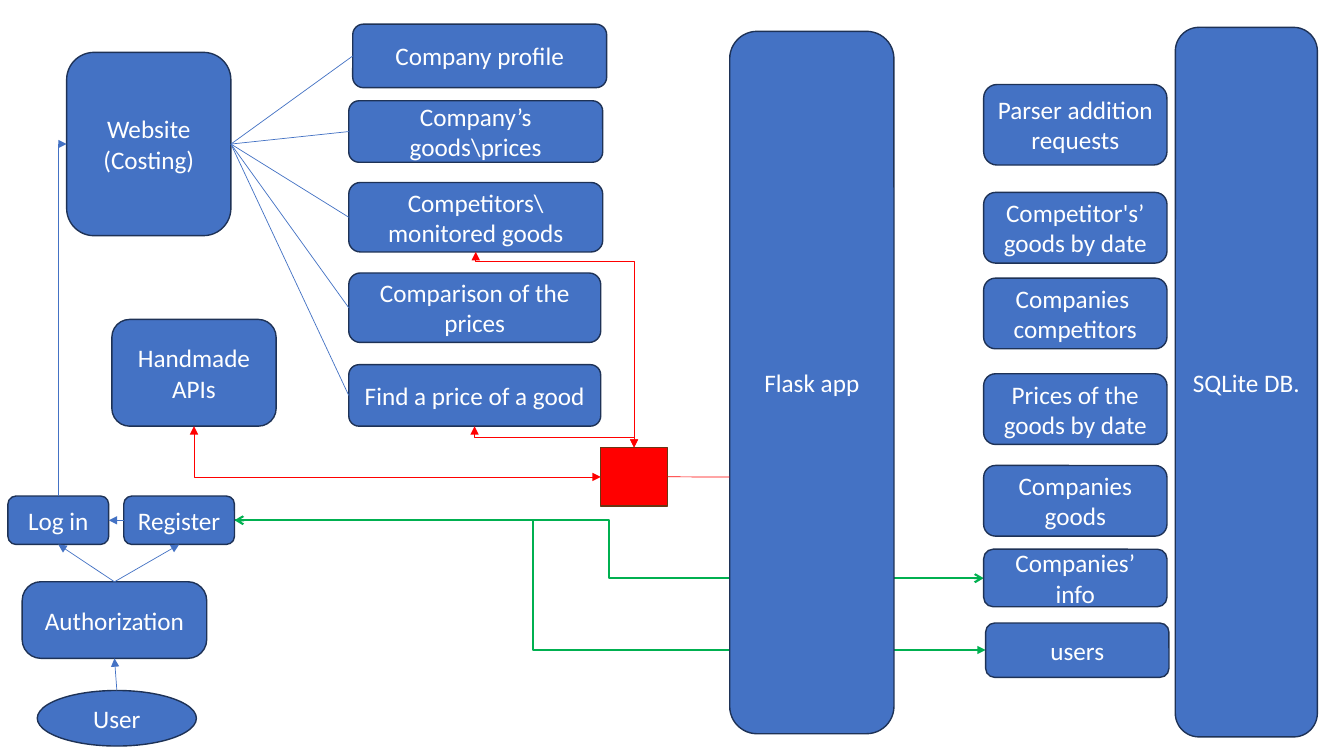
from pptx import Presentation
from pptx.dml.color import RGBColor
from pptx.enum.shapes import MSO_CONNECTOR, MSO_SHAPE
from pptx.enum.text import MSO_ANCHOR, PP_ALIGN
from pptx.oxml.ns import qn
from pptx.util import Cm, Pt
from lxml.etree import SubElement

BLUE, RED, GREEN = "4472C4", "FF0000", "00B050"
hue = RGBColor.from_string

deck = Presentation()
deck.slide_width, deck.slide_height = Cm(33.87), Cm(19.05)
slide = deck.slides.add_slide(deck.slide_layouts[6])
shapes = slide.shapes


def box(text, x, y, w, h, kind=MSO_SHAPE.ROUNDED_RECTANGLE, fill=BLUE, edge="1E3256"):
    shape = shapes.add_shape(kind, Cm(x), Cm(y), Cm(w), Cm(h))
    shape.shadow.inherit = False
    shape.fill.solid()
    shape.fill.fore_color.rgb = hue(fill)
    shape.line.color.rgb = hue(edge)
    shape.line.width = Pt(1)
    frame = shape.text_frame
    frame.word_wrap = True
    frame.vertical_anchor = MSO_ANCHOR.MIDDLE
    for i, words in enumerate(text.split("\n") if text else []):
        para = frame.add_paragraph() if i else frame.paragraphs[0]
        para.alignment = PP_ALIGN.CENTER
        run = para.add_run()
        run.text = words
        run.font.name = "Calibri"
        run.font.size = Pt(18)
        run.font.color.rgb = hue("FFFFFF")
    return shape


def join(x1, y1, x2, y2, color, width, head=None, tail=None, bend=None, turn=0, flip="", adj=None):
    w, h = abs(x2 - x1), abs(y2 - y1)
    if turn:
        w, h = h, w
    if bend:
        left, top = (x1 + x2 - w) / 2, (y1 + y2 - h) / 2
        x1, y1, x2, y2 = left, top, left + w, top + h
    kind = MSO_CONNECTOR.ELBOW if bend else MSO_CONNECTOR.STRAIGHT
    link = shapes.add_connector(kind, Cm(x1), Cm(y1), Cm(x2), Cm(y2))
    link.line.color.rgb = hue(color)
    link.line.width = Pt(width)
    props = link._element.spPr
    for tag, end in (("a:headEnd", head), ("a:tailEnd", tail)):
        if end:
            SubElement(props.find(qn("a:ln")), qn(tag)).set("type", end)
    SubElement(props, qn("a:effectLst"))
    if bend:
        frame, geom = props.find(qn("a:xfrm")), props.find(qn("a:prstGeom"))
        geom.set("prst", bend)
        if turn:
            frame.set("rot", str(turn * 60000))
        for side in flip:
            frame.set("flip" + side, "1")
        if adj:
            guide = SubElement(geom.find(qn("a:avLst")), qn("a:gd"))
            guide.set("name", "adj1")
            guide.set("fmla", f"val {adj}")
    return link


join(5.91, 13.11, 24.84, 16.38, GREEN, 1.5, None, "triangle", "bentConnector3", adj=39800)
join(5.91, 13.11, 24.79, 14.57, GREEN, 1.5, "arrow", "arrow", "bentConnector3")

site = box("Website\n(Costing)", 1.68, 1.32, 4.14, 4.62)
box("Flask app", 18.39, 0.79, 4.14, 17.7)
box("SQLite DB.", 29.62, 0.69, 3.58, 17.88)
auth = box("Authorization", 0.56, 14.66, 4.65, 1.93)
auth.adjustments[0] = 0.245
user = box("User", 0.94, 17.4, 4.01, 1.4, MSO_SHAPE.OVAL)
login = box("Log in", 0.2, 12.5, 2.54, 1.22)
reg = box("Register ", 3.12, 12.5, 2.79, 1.22)
box("Handmade APIs", 2.82, 8.05, 4.14, 2.69)
hub = box("", 15.14, 11.28, 1.68, 1.47, MSO_SHAPE.RECTANGLE, RED, "683715")

for text, x, y, h in [
    ("Parser addition requests", 24.79, 2.13, 2.03),
    ("Competitor's’ goods by date", 24.79, 4.85, 1.78),
    ("Companies  competitors", 24.79, 7.01, 1.78),
    ("Prices of the goods by date", 24.79, 9.42, 1.78),
    ("Companies goods", 24.79, 11.73, 1.78),
    ("Companies’ info", 24.79, 13.84, 1.45),
    ("users", 24.84, 15.7, 1.37),
]:
    box(text, x, y, 4.62, h)

pages = [
    box(*page)
    for page in [
        ("Company profile", 8.89, 0.61, 6.4, 1.6),
        ("Company’s goods\\prices", 8.79, 2.54, 6.4, 1.55),
        ("Competitors\\ monitored goods", 8.79, 4.6, 6.4, 1.75),
        ("Comparison of the prices", 8.79, 6.88, 6.35, 1.75),
        ("Find a price of a good", 8.79, 9.19, 6.35, 1.55),
    ]
]

links = [
    (user, 0, auth, 2, "triangle"),
    (auth, 0, login, 2, "triangle"),
    (auth, 0, reg, 2, "triangle"),
    (reg, 1, login, 3, "triangle"),
]
links += [(site, 3, page, 1, None) for page in pages]
for start, out, stop, into, tail in links:
    link = join(0, 0, 1, 1, BLUE, 0.5, tail=tail)
    link.begin_connect(start, out)
    link.end_connect(stop, into)

join(18.39, 12.02, 16.82, 12.02, RED, 0.5).end_connect(hub, 3)
join(1.47, 12.5, 1.68, 3.63, BLUE, 0.5, None, "triangle", "bentConnector2", 90, "HV")
for x1, y1, x2, y2, bend, adj in [
    (4.89, 10.74, 15.14, 12.02, "bentConnector2", None),
    (11.96, 10.74, 15.98, 11.28, "bentConnector3", 50000),
    (11.99, 6.35, 15.98, 11.28, "bentConnector3", 4800),
]:
    join(x1, y1, x2, y2, RED, 0.5, "triangle", "triangle", bend, 270, "H", adj)

deck.save("out.pptx")
